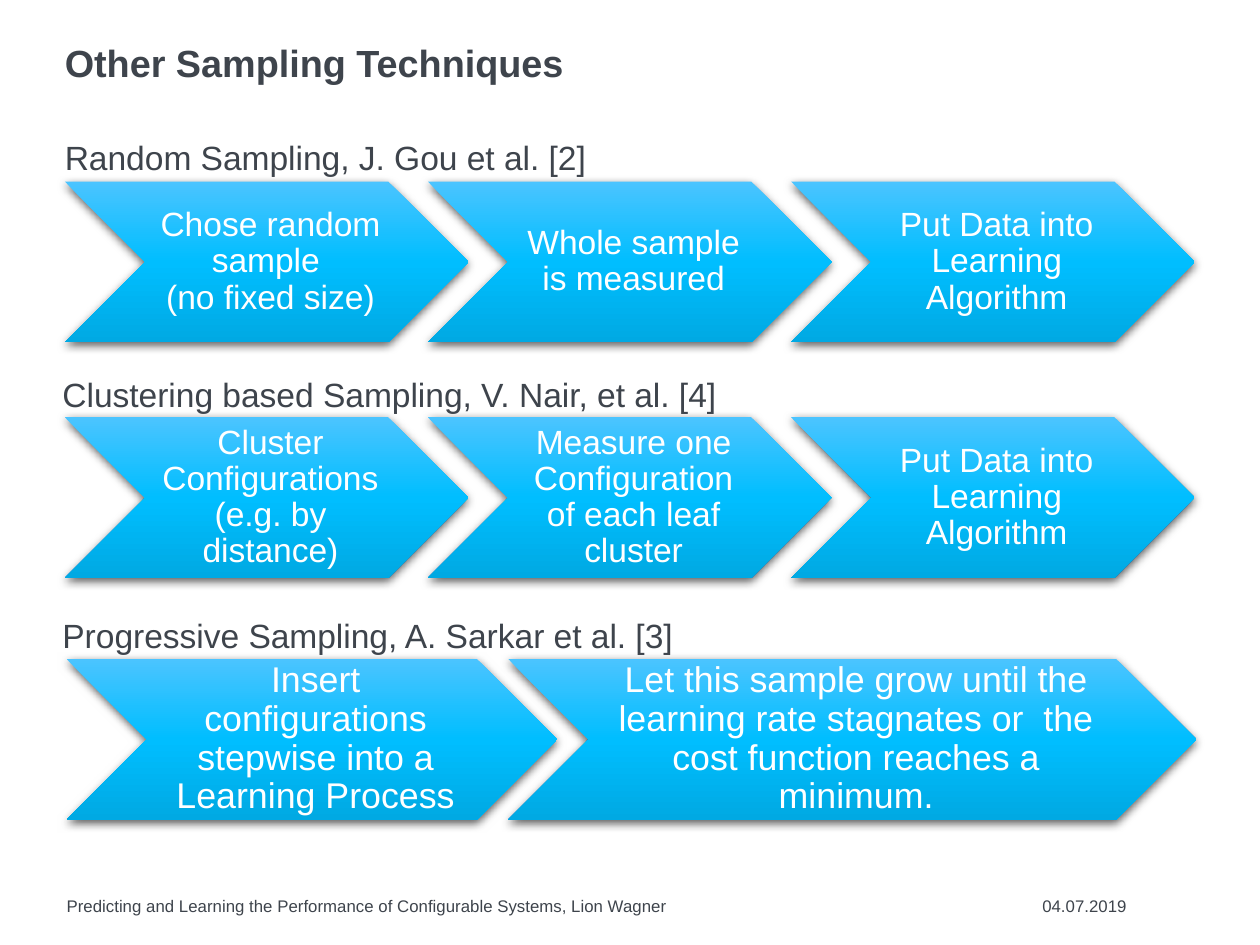
from copy import deepcopy

from lxml import etree
from pptx import Presentation
from pptx import util as u
from pptx.dml import color as dml_color
from pptx.enum import shapes, text
from pptx.oxml import ns

FONT = "Arial"
DARK = "3E444C"
WHITE = "FFFFFF"
GRADIENT = [(0, "4BC4FF"), (0.5, "00BEFF"), (1, "00A9E3")]
CHEVRON_HEIGHT = 2.7
LABEL_HEIGHT = 0.81

# label, its left, top and width, row left, row top, overlap, text size, steps (width, text)
TECHNIQUES = [
    ("Random Sampling, J. Gou et al. [2]", (1.09, 2.16, 8.89), 1.09, 3.05, 0.68, 16, [
        (6.78, "Chose random sample \n(no fixed size)"),
        (6.78, "Whole sample is measured"),
        (6.78, "Put Data into Learning Algorithm"),
    ]),
    ("Clustering based Sampling, V. Nair, et al. [4]", (1.05, 6.15, 11.13), 1.09, 7.01, 0.68, 16, [
        (6.78, "Cluster Configurations (e.g. by distance)"),
        (6.78, "Measure one Configuration of each leaf cluster"),
        (6.78, "Put Data into Learning Algorithm"),
    ]),
    ("Progressive Sampling, A. Sarkar et al. [3]", (1.05, 10.19, 10.39), 1.12, 11.07, 0.82, 17, [
        (8.24, "Insert configurations stepwise into a Learning Process"),
        (11.56, "Let this sample grow until the learning rate stagnates or  the "
                "cost function reaches a minimum."),
    ]),
]


def rgb(hex_string):
    return dml_color.RGBColor.from_string(hex_string)


def set_margins(frame, left, others):
    frame.margin_left = u.Cm(left)
    frame.margin_top = frame.margin_right = frame.margin_bottom = u.Cm(others)


def write(frame, wording, size, color, bold=False, line_spacing=1.0):
    paragraph = frame.paragraphs[0]
    paragraph.text = wording
    paragraph.line_spacing = line_spacing
    font = paragraph.font
    font.name, font.size, font.bold = FONT, u.Pt(size), bold
    font.color.rgb = rgb(color)
    return paragraph


def add_text(slide, box, wording, size, wrap=True, **style):
    frame = slide.shapes.add_textbox(*map(u.Cm, box)).text_frame
    set_margins(frame, 0, 0)
    frame.word_wrap = wrap
    write(frame, wording, size, DARK, **style)


def fill_gradient(shape):
    """Fill from top to bottom with the three stops of GRADIENT."""
    shape.fill.gradient()
    shape.fill.gradient_angle = 270
    stop_list = shape._element.spPr.find(".//" + ns.qn("a:gsLst"))
    stop_list.insert(1, deepcopy(stop_list[0]))
    for stop, (position, color) in zip(shape.fill.gradient_stops, GRADIENT):
        stop.position = position
        stop.color.rgb = rgb(color)


def add_shadow(shape):
    shape.shadow.inherit = False
    effects = shape._element.spPr.find(ns.qn("a:effectLst"))
    shadow = etree.SubElement(
        effects, ns.qn("a:outerShdw"), blurRad=str(u.Pt(4.5)), dist=str(u.Pt(1.5)),
        dir="5400000", algn="ctr", rotWithShape="0")
    color = etree.SubElement(shadow, ns.qn("a:srgbClr"), val="000000")
    etree.SubElement(color, ns.qn("a:alpha"), val="63000")


def add_chevron(slide, box, wording, size):
    chevron = slide.shapes.add_shape(shapes.MSO_SHAPE.CHEVRON, *map(u.Cm, box))
    fill_gradient(chevron)
    chevron.line.fill.background()
    add_shadow(chevron)
    frame = chevron.text_frame
    set_margins(frame, 0.18, 0.05)
    frame.word_wrap = True
    frame.vertical_anchor = text.MSO_ANCHOR.MIDDLE
    paragraph = write(frame, wording, size, WHITE, line_spacing=0.9)
    paragraph.alignment = text.PP_ALIGN.CENTER


def add_process(slide, left, top, overlap, size, steps):
    for width, wording in steps:
        add_chevron(slide, (left, top, width, CHEVRON_HEIGHT), wording, size)
        left += width - overlap


def main():
    presentation = Presentation()
    presentation.slide_width = u.Pt(600)
    presentation.slide_height = u.Pt(450)
    slide = presentation.slides.add_slide(presentation.slide_layouts[6])

    add_text(slide, (1.09, 0.76, 19, 0.76), "Other Sampling Techniques", 18,
             bold=True, line_spacing=0.9)
    for label, label_place, left, top, overlap, size, steps in TECHNIQUES:
        add_process(slide, left, top, overlap, size, steps)
        add_text(slide, (*label_place, LABEL_HEIGHT), label, 16, wrap=False, line_spacing=1.2)
    add_text(slide, (1.12, 15.05, 14, 0.33),
             "Predicting and Learning the Performance of Configurable Systems, Lion Wagner", 8)
    add_text(slide, (17.51, 15.05, 1.68, 0.33), "04.07.2019", 8)

    presentation.save("out.pptx")


if __name__ == "__main__":
    main()
